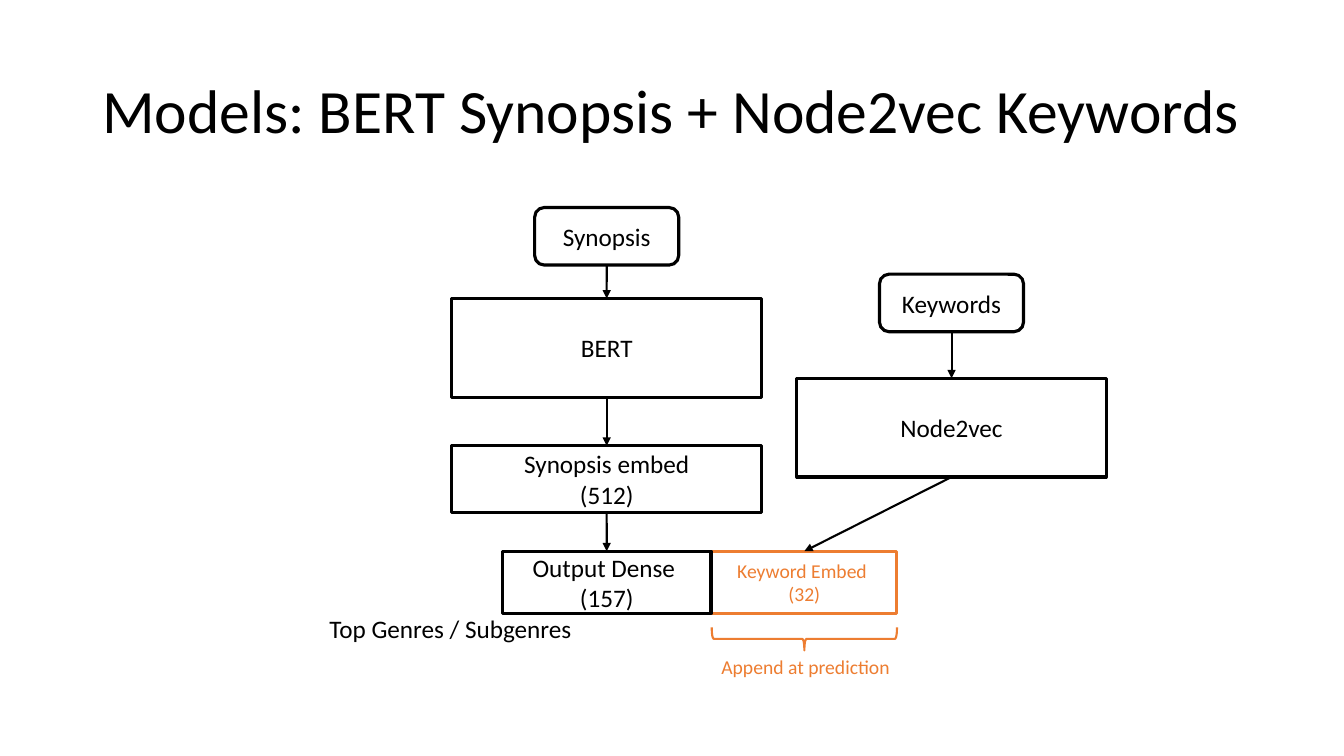
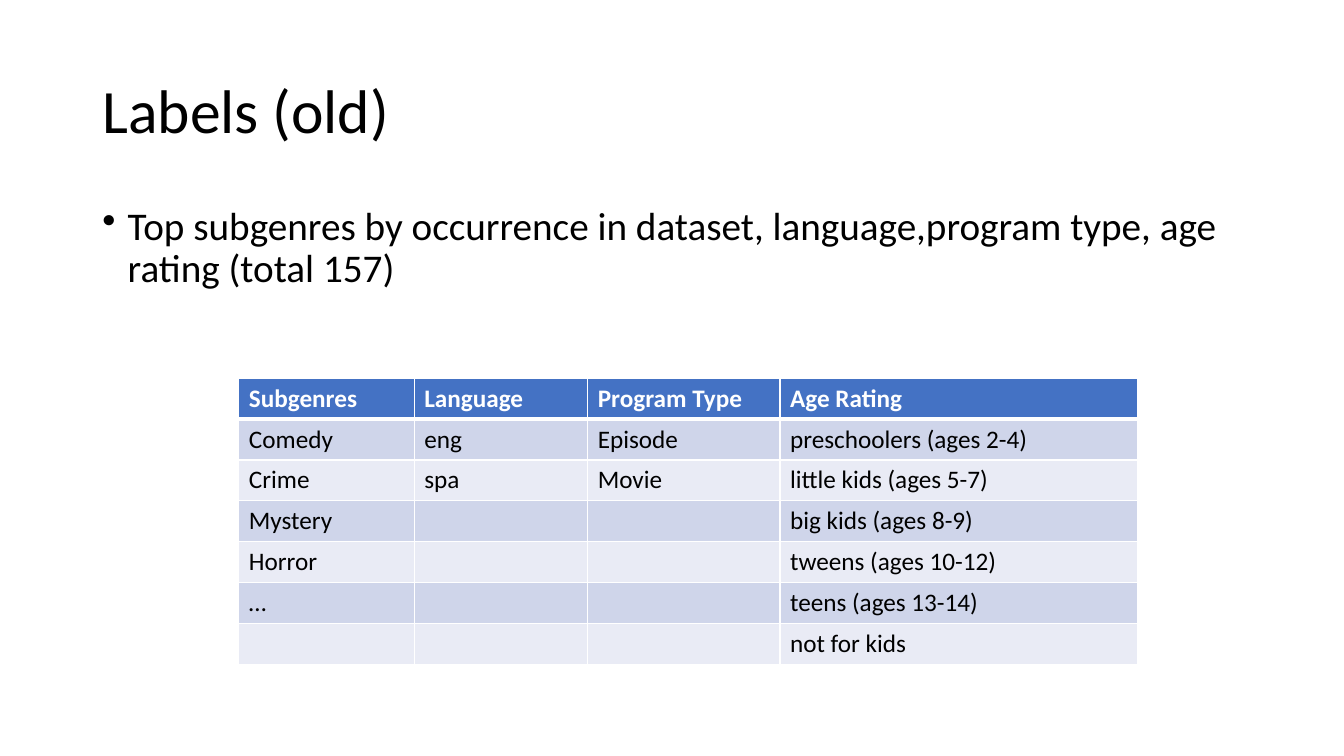
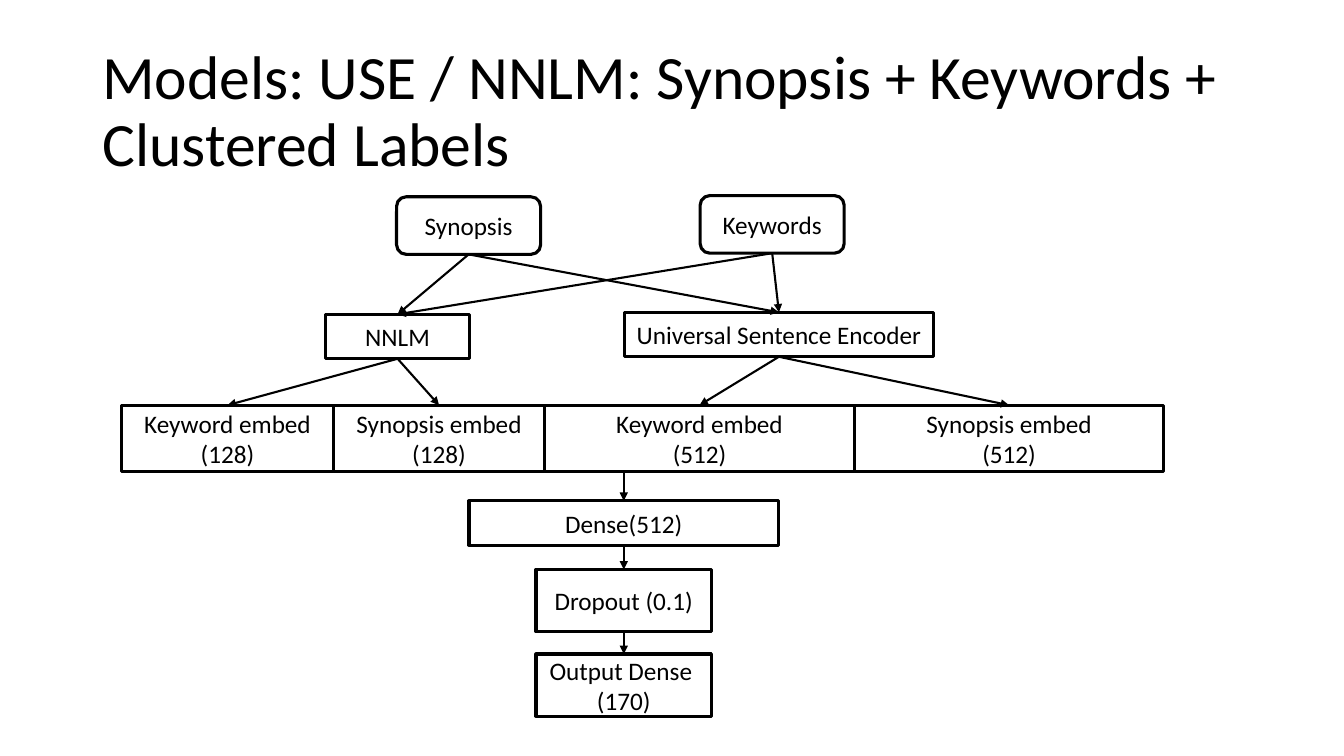
"""Build three slides on synopsis and keyword models and their labels."""
from lxml import etree
from pptx import Presentation
from pptx.dml.color import RGBColor
from pptx.enum.shapes import MSO_CONNECTOR, MSO_SHAPE
from pptx.enum.text import MSO_ANCHOR, MSO_AUTO_SIZE, PP_ALIGN
from pptx.oxml.ns import qn
from pptx.util import Cm, Pt

RECT, ROUND, BRACE = MSO_SHAPE.RECTANGLE, MSO_SHAPE.ROUNDED_RECTANGLE, MSO_SHAPE.RIGHT_BRACE
STRAIGHT = MSO_CONNECTOR.STRAIGHT
MIDDLE, TOP = MSO_ANCHOR.MIDDLE, MSO_ANCHOR.TOP
LEFT, CENTER = PP_ALIGN.LEFT, PP_ALIGN.CENTER
FIT_SHAPE = MSO_AUTO_SIZE.SHAPE_TO_FIT_TEXT

BLACK = RGBColor(0x00, 0x00, 0x00)
WHITE = RGBColor(0xFF, 0xFF, 0xFF)
ORANGE = RGBColor(0xED, 0x7D, 0x31)
BLUE = RGBColor(0x44, 0x72, 0xC4)
BANDS = RGBColor(0xCF, 0xD5, 0xEA), RGBColor(0xE9, 0xEB, 0xF5)
FONT = "Calibri"

WIDE, SMALL, OUTPUT = 7.8, 3.63, 4.42
INPUT_H, MODEL_H, EMBED_H, LAYER_H, OUTPUT_H = 1.45, 2.49, 1.68, 1.12, 1.57
BOTTOM_SITE, TOP_SITE = 2, 0


def write(tf, text, size=18, color=BLACK, bold=False, align=LEFT, spacing=None):
    """Put formatted text in a text frame and return its paragraph."""
    p = tf.paragraphs[0]
    p.text = text
    p.alignment = align
    if spacing:
        p.line_spacing = spacing
    for r in p.runs:
        r.font.name, r.font.size, r.font.bold = FONT, Pt(size), bold
        r.font.color.rgb = color
    return p


class Deck:
    """Hold the presentation, its style and the current slide."""

    def __init__(self):
        self.prs = Presentation()
        self.prs.slide_width, self.prs.slide_height = Cm(33.87), Cm(19.05)

    def slide(self, title):
        """Start a slide with its title."""
        self.s = self.prs.slides.add_slide(self.prs.slide_layouts[6])
        self.text(title, 2.33, 1.01, 29.21, 3.68, anchor=MIDDLE, size=44, spacing=0.9)

    def text(self, text, left, top, w, h, wrap=True, anchor=TOP, **fmt):
        """Add a text box and return its paragraph."""
        tf = self.s.shapes.add_textbox(Cm(left), Cm(top), Cm(w), Cm(h)).text_frame
        tf.word_wrap, tf.vertical_anchor = wrap, anchor
        if not wrap:
            tf.auto_size = FIT_SHAPE
        return write(tf, text, **fmt)

    def bullet(self, text, left, top, w, h):
        """Add a bulleted paragraph."""
        p = self.text(text, left, top, w, h, size=28, spacing=0.9)
        p.space_before = Pt(10)
        pPr = p._p.get_or_add_pPr()
        pPr.set("marL", str(Cm(0.64)))
        pPr.set("indent", str(-Cm(0.64)))
        etree.SubElement(pPr, qn("a:buChar")).set("char", "•")

    def box(self, text, cx, top, w, h, kind=RECT, color=BLACK, size=18):
        """Add an outlined box centred on cx."""
        sp = self.s.shapes.add_shape(kind, Cm(cx - w / 2), Cm(top), Cm(w), Cm(h))
        sp.shadow.inherit = False
        sp.fill.solid()
        sp.fill.fore_color.rgb = WHITE
        sp.line.color.rgb, sp.line.width = color, Pt(2.25)
        sp.text_frame.word_wrap, sp.text_frame.vertical_anchor = True, MIDDLE
        write(sp.text_frame, text, size=size, color=color, align=CENTER)
        return sp

    def source(self, text, cx, top):
        """Add a rounded input box."""
        return self.box(text, cx, top, SMALL, INPUT_H, kind=ROUND)

    def brace(self, cx, cy, span, depth):
        """Add a brace that points down."""
        sp = self.s.shapes.add_shape(
            BRACE, Cm(cx - depth / 2), Cm(cy - span / 2), Cm(depth), Cm(span))
        sp.rotation = 90
        sp.shadow.inherit = False
        sp.fill.background()
        sp.line.color.rgb, sp.line.width = ORANGE, Pt(1.5)

    def arrow(self, x1, y1, x2, y2):
        """Add an arrow between two points given in EMU."""
        c = self.s.shapes.add_connector(STRAIGHT, x1, y1, x2, y2)
        c.line.color.rgb, c.line.width = BLACK, Pt(1.5)
        etree.SubElement(c.line._get_or_add_ln(), qn("a:tailEnd")).set("type", "triangle")
        etree.SubElement(c._element.spPr, qn("a:effectLst"))
        return c

    def link(self, upper, *lowers):
        """Join the bottom of one box to the top of others."""
        for lower in lowers:
            c = self.arrow(0, 0, 0, 0)
            c.begin_connect(upper, BOTTOM_SITE)
            c.end_connect(lower, TOP_SITE)

    def chain(self, *boxes):
        """Join boxes one after another."""
        for upper, lower in zip(boxes, boxes[1:]):
            self.link(upper, lower)

    def border(self, cell, widths):
        """Draw white borders with widths keyed by side."""
        tcPr = cell._tc.get_or_add_tcPr()
        for side, width in widths.items():
            ln = etree.SubElement(tcPr, qn("a:ln" + side), w=str(Pt(width)))
            fill = etree.SubElement(ln, qn("a:solidFill"))
            etree.SubElement(fill, qn("a:srgbClr")).set("val", str(WHITE))

    def table(self, rows, left, top, widths, row_h):
        """Add a banded table with a header row."""
        table = self.s.shapes.add_table(
            len(rows), len(widths), Cm(left), Cm(top),
            Cm(sum(widths)), Cm(row_h * len(rows))).table
        for column, width in zip(table.columns, widths):
            column.width = Cm(width)
        for i, row in enumerate(rows):
            header = i == 0
            for j, text in enumerate(row):
                cell = table.cell(i, j)
                self.border(cell, {"L": 1, "R": 1, "T": 3 if i == 1 else 1,
                                   "B": 3 if header else 1})
                cell.fill.solid()
                cell.fill.fore_color.rgb = BLUE if header else BANDS[(i - 1) % 2]
                write(cell.text_frame, text, color=WHITE if header else BLACK, bold=header)


def bert_slide(deck):
    """Draw the BERT and Node2vec model."""
    deck.slide("Models: BERT Synopsis + Node2vec Keywords")
    synopsis_x, keyword_x, append_x, append_w, output_y = 15.29, 23.98, 20.27, 4.67, 13.89
    synopsis = deck.source("Synopsis", synopsis_x, 5.23)
    bert = deck.box("BERT", synopsis_x, 7.52, WIDE, MODEL_H)
    embed = deck.box("Synopsis embed\n(512)", synopsis_x, 11.23, WIDE, EMBED_H)
    keywords = deck.source("Keywords", keyword_x, 6.91)
    node2vec = deck.box("Node2vec", keyword_x, 9.53, WIDE, MODEL_H)
    appended = deck.box("Keyword Embed \n(32)", append_x, output_y, append_w, OUTPUT_H,
                        color=ORANGE, size=14)
    output = deck.box("Output Dense \n(157)", synopsis_x, output_y, 5.26, OUTPUT_H)
    deck.chain(synopsis, bert, embed, output)
    deck.chain(keywords, node2vec, appended)
    deck.brace(append_x, 16.1, append_w, 0.58)
    deck.text("Append at prediction", 17.93, 16.38, 4.8, 0.86, wrap=False,
              size=14, color=ORANGE)
    deck.text("Top Genres / Subgenres", 8.05, 15.34, 6.71, 1.02, wrap=False)


def labels_slide(deck):
    """Show the old labels in a table."""
    deck.slide("Labels (old)")
    deck.bullet("Top subgenres by occurrence in dataset, language,program type, "
                "age rating (total 157)", 2.33, 5.08, 29.21, 3.02)
    rows = [
        ("Subgenres", "Language", "Program Type", "Age Rating"),
        ("Comedy", "eng", "Episode", "preschoolers (ages 2-4)"),
        ("Crime", "spa", "Movie", "little kids (ages 5-7)"),
        ("Mystery", "", "", "big kids (ages 8-9)"),
        ("Horror", "", "", "tweens (ages 10-12)"),
        ("…", "", "", "teens (ages 13-14)"),
        ("", "", "", "not for kids"),
    ]
    deck.table(rows, 6.02, 9.53, (4.42, 4.37, 4.85, 9.02), 1.03)


def clustered_slide(deck):
    """Draw the model with two encoders and clustered labels."""
    deck.slide("Models: USE / NNLM: Synopsis + Keywords + Clustered Labels")
    nnlm = deck.box("NNLM", 10.02, 7.92, SMALL, LAYER_H)
    use = deck.box("Universal Sentence Encoder", 19.63, 7.87, WIDE, LAYER_H)
    for text, cx, top in (("Synopsis", 11.81, 4.96), ("Keywords", 19.46, 4.93)):
        deck.link(deck.source(text, cx, top), nnlm, use)

    left, embed_y = 3.07, 10.21
    for encoder, size, w in ((nnlm, 128, 5.33), (use, 512, WIDE)):
        for name in ("Keyword", "Synopsis"):
            embed = deck.box(f"{name} embed\n({size})", left + w / 2, embed_y, w, EMBED_H)
            deck.link(encoder, embed)
            left += w

    cx = 15.72
    dense = deck.box("Dense(512)", cx, 12.62, WIDE, LAYER_H)
    dropout = deck.box("Dropout (0.1)", cx, 14.35, OUTPUT, OUTPUT_H)
    output = deck.box("Output Dense \n(170)", cx, 16.48, OUTPUT, OUTPUT_H)
    deck.arrow(Cm(cx), Cm(embed_y + EMBED_H), Cm(cx), dense.top)
    deck.chain(dense, dropout, output)


deck = Deck()
bert_slide(deck)
labels_slide(deck)
clustered_slide(deck)
deck.prs.save("out.pptx")
